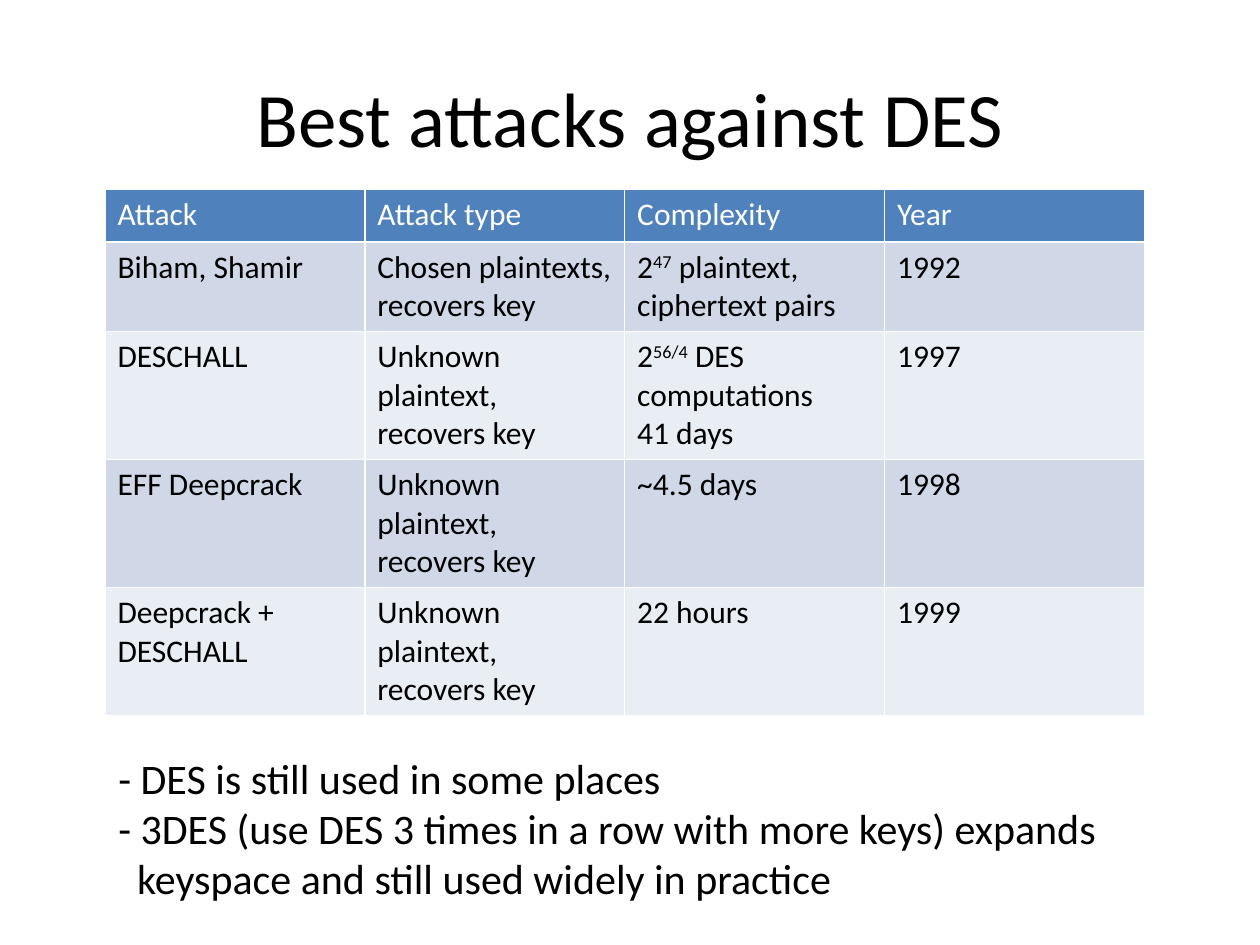
from pptx import Presentation
from pptx.dml.color import RGBColor
from pptx.enum.text import MSO_ANCHOR, MSO_AUTO_SIZE, PP_ALIGN
from pptx.util import Inches, Pt

CENTER = PP_ALIGN.CENTER
MIDDLE = MSO_ANCHOR.MIDDLE
GROW = MSO_AUTO_SIZE.SHAPE_TO_FIT_TEXT

BLACK = RGBColor(0x00, 0x00, 0x00)
WHITE = RGBColor(0xFF, 0xFF, 0xFF)
HEADER_BLUE = RGBColor(0x4F, 0x81, 0xBD)
BANDS = (RGBColor(0xE9, 0xED, 0xF4), RGBColor(0xD0, 0xD8, 0xE8))

TITLE_ONLY = 5
SUPERSCRIPT = "30000"
UNIT = 0.01

UNKNOWN = "Unknown plaintext, recovers key"
ATTACKS = [
    ["Attack", "Attack type", "Complexity", "Year"],
    ["Biham, Shamir", "Chosen plaintexts, recovers key",
     [["2", "^47", " plaintext, ciphertext pairs"]], "1992"],
    ["DESCHALL", UNKNOWN,
     [["2", "^56/4", " DES computations"], ["41 days"]], "1997"],
    ["EFF Deepcrack", UNKNOWN, "~4.5 days", "1998"],
    ["Deepcrack + DESCHALL", UNKNOWN, "22 hours", "1999"],
]
REMARKS = [
    ["- DES is still used in some places"],
    ["- 3DES (use DES 3 times in a row with more keys) expands"],
    ["keyspace and still used widely in practice"],
]


class SlideBuilder:
    font = "Calibri"

    def __init__(self, deck):
        self.width, self.height = deck.slide_width, deck.slide_height
        self.slide = deck.slides.add_slide(deck.slide_layouts[TITLE_ONLY])

    def place(self, left, top, width, height):
        return (round(left * UNIT * self.width), round(top * UNIT * self.height),
                round(width * UNIT * self.width), round(height * UNIT * self.height))

    def add_text(self, frame, paragraphs, size, color):
        for index, parts in enumerate(paragraphs):
            paragraph = frame.add_paragraph() if index else frame.paragraphs[0]
            for part in parts:
                run = paragraph.add_run()
                run.text = part.removeprefix("^")
                run.font.name = self.font
                run.font.size = Pt(size)
                run.font.bold = False
                run.font.color.rgb = color
                if part.startswith("^"):
                    run.font._element.set("baseline", SUPERSCRIPT)

    def title(self, text, *area):
        heading = self.slide.shapes.title
        heading.left, heading.top, heading.width, heading.height = self.place(*area)
        heading.text_frame.vertical_anchor = MIDDLE
        self.add_text(heading.text_frame, [[text]], 44, BLACK)
        heading.text_frame.paragraphs[0].alignment = CENTER

    def table(self, rows, row_height, *area):
        table = self.slide.shapes.add_table(
            len(rows), len(rows[0]), *self.place(*area)).table
        for row_index, row in enumerate(rows):
            table.rows[row_index].height = Inches(row_height)
            is_header = row_index == 0
            for column, content in enumerate(row):
                cell = table.cell(row_index, column)
                cell.fill.solid()
                cell.fill.fore_color.rgb = HEADER_BLUE if is_header else BANDS[row_index % 2]
                paragraphs = [[content]] if isinstance(content, str) else content
                self.add_text(cell.text_frame, paragraphs, 18, WHITE if is_header else BLACK)

    def remarks(self, paragraphs, continuation_indent, *area):
        frame = self.slide.shapes.add_textbox(*self.place(*area)).text_frame
        frame.word_wrap = False
        frame.auto_size = GROW
        self.add_text(frame, paragraphs, 24, BLACK)
        continuation = frame.paragraphs[-1]._p.get_or_add_pPr()
        continuation.set("marL", str(Inches(continuation_indent)))


def main():
    deck = Presentation()
    deck.slide_width, deck.slide_height = Inches(10), Inches(7.5)
    builder = SlideBuilder(deck)
    builder.title("Best attacks against DES", 5, 4, 90, 16.67)
    builder.table(ATTACKS, 0.42, 8.33, 20, 82.5, 28)
    builder.remarks(REMARKS, 0.15, 8.4, 78.93, 80.8, 17.47)
    deck.save("out.pptx")


if __name__ == "__main__":
    main()
